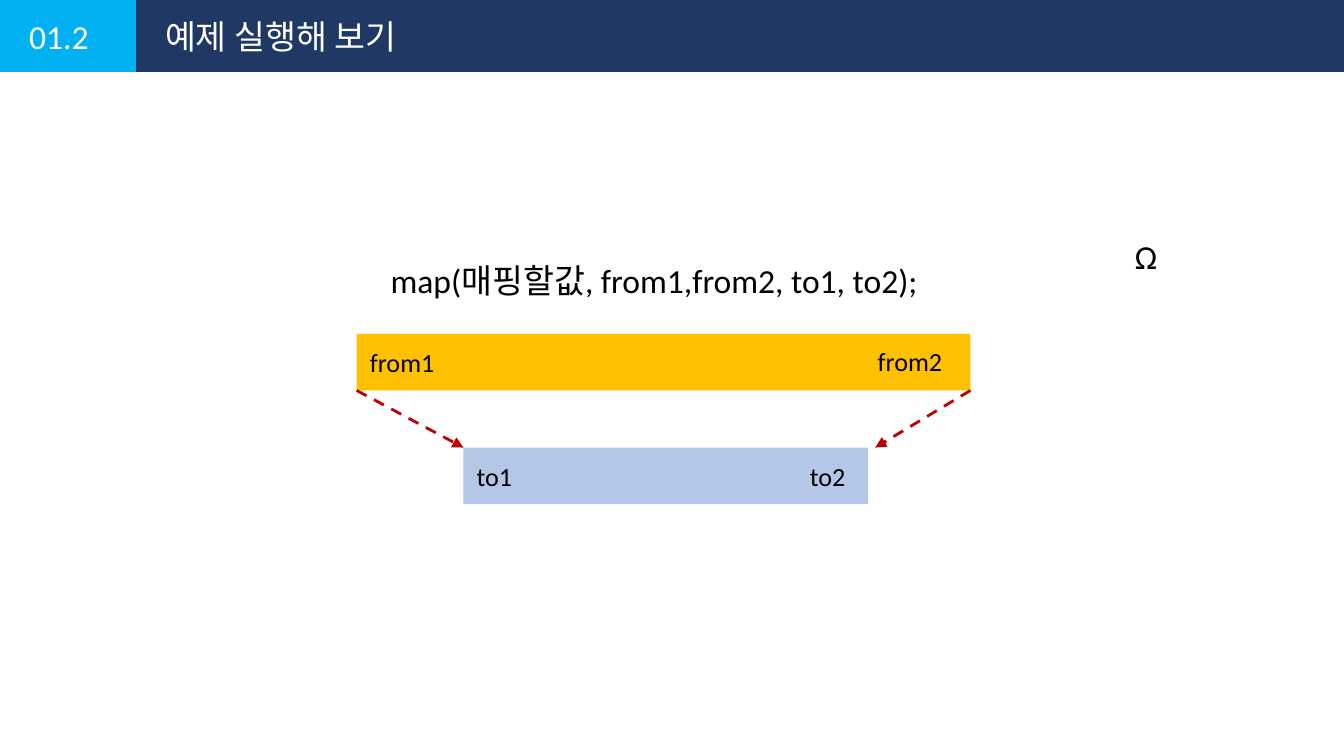
from lxml import etree
from pptx import Presentation
from pptx.dml.color import RGBColor
from pptx.enum.dml import MSO_LINE
from pptx.enum.shapes import MSO_CONNECTOR, MSO_SHAPE
from pptx.enum.text import MSO_AUTO_SIZE, PP_ALIGN
from pptx.oxml.ns import qn
from pptx.util import Cm, Pt

RECTANGLE = MSO_SHAPE.RECTANGLE
STRAIGHT = MSO_CONNECTOR.STRAIGHT
DASH = MSO_LINE.DASH
FIT_SHAPE = MSO_AUTO_SIZE.SHAPE_TO_FIT_TEXT
LEFT, CENTER, RIGHT = PP_ALIGN.LEFT, PP_ALIGN.CENTER, PP_ALIGN.RIGHT

FONT = "Calibri"
WHITE, BLACK = "FFFFFF", "000000"
NAVY, CYAN = "203864", "00B0F0"
AMBER, PALE_BLUE, RED = "FFC000", "B4C7E7", "C00000"

# Lengths in centimetres
SLIDE_WIDTH, SLIDE_HEIGHT = 25.4, 14.29
HEADER_HEIGHT = 1.36
BAR_HEIGHT = 1.07
FROM_LEFT, FROM_TOP, FROM_WIDTH = 6.74, 6.31, 11.6
TO_LEFT, TO_TOP, TO_WIDTH = 8.76, 8.46, 7.65


def color(hex_string):
    return RGBColor.from_string(hex_string)


def add_bar(slide, left, top, width, height, fill):
    shape = slide.shapes.add_shape(RECTANGLE, Cm(left), Cm(top), Cm(width), Cm(height))
    shape.shadow.inherit = False
    shape.fill.solid()
    shape.fill.fore_color.rgb = color(fill)
    shape.line.fill.background()


def add_text(slide, text, left, top, width, size=18, font_color=BLACK, align=LEFT):
    height = 1.03 if size == 18 else 0.86
    box = slide.shapes.add_textbox(Cm(left), Cm(top), Cm(width), Cm(height))
    frame = box.text_frame
    frame.word_wrap = True
    frame.auto_size = FIT_SHAPE
    paragraph = frame.paragraphs[0]
    paragraph.alignment = align
    run = paragraph.add_run()
    run.text = text
    run.font.name = FONT
    run.font.size = Pt(size)
    run.font.color.rgb = color(font_color)


def add_dashed_arrow(slide, start_x, start_y, end_x, end_y):
    arrow = slide.shapes.add_connector(
        STRAIGHT, Cm(start_x), Cm(start_y), Cm(end_x), Cm(end_y))
    arrow.line.color.rgb = color(RED)
    arrow.line.width = Pt(1.5)
    arrow.line.dash_style = DASH
    etree.SubElement(arrow.line._get_or_add_ln(), qn("a:tailEnd"), type="triangle")
    etree.SubElement(arrow._element.spPr, qn("a:effectLst"))


def main():
    presentation = Presentation()
    presentation.slide_width = Cm(SLIDE_WIDTH)
    presentation.slide_height = Cm(SLIDE_HEIGHT)
    slide = presentation.slides.add_slide(presentation.slide_layouts[6])

    # Header
    add_bar(slide, 0, 0, SLIDE_WIDTH, HEADER_HEIGHT, NAVY)
    add_bar(slide, 0, 0, 2.57, HEADER_HEIGHT, CYAN)
    add_text(slide, "01.2", 0.3, 0.18, 1.65, font_color=WHITE)
    add_text(slide, "예제 실행해 보기", 2.87, 0.18, 13.1, font_color=WHITE)

    # Function call
    add_text(slide, "map(매핑할값, from1,from2, to1, to2);", 6.65, 4.78, 11.43, align=CENTER)

    # Source and target ranges
    add_bar(slide, FROM_LEFT, FROM_TOP, FROM_WIDTH, BAR_HEIGHT, AMBER)
    add_bar(slide, TO_LEFT, TO_TOP, TO_WIDTH, BAR_HEIGHT, PALE_BLUE)
    add_text(slide, "from1", FROM_LEFT, 6.43, 2.24, size=14)
    add_text(slide, "from2", 15.98, 6.41, 2.08, size=14, align=RIGHT)
    add_text(slide, "to1", TO_LEFT, 8.57, 1.85, size=14)
    add_text(slide, "to2", 14.5, 8.57, 1.73, size=14, align=RIGHT)

    # Mapping arrows between the range ends
    from_bottom = FROM_TOP + BAR_HEIGHT
    add_dashed_arrow(slide, FROM_LEFT, from_bottom, TO_LEFT, TO_TOP)
    add_dashed_arrow(slide, FROM_LEFT + FROM_WIDTH, from_bottom, 16.54, TO_TOP)

    # Ohm symbol
    add_text(slide, "Ω", 21.2, 4.33, 1.45)

    presentation.save("out.pptx")


if __name__ == "__main__":
    main()
